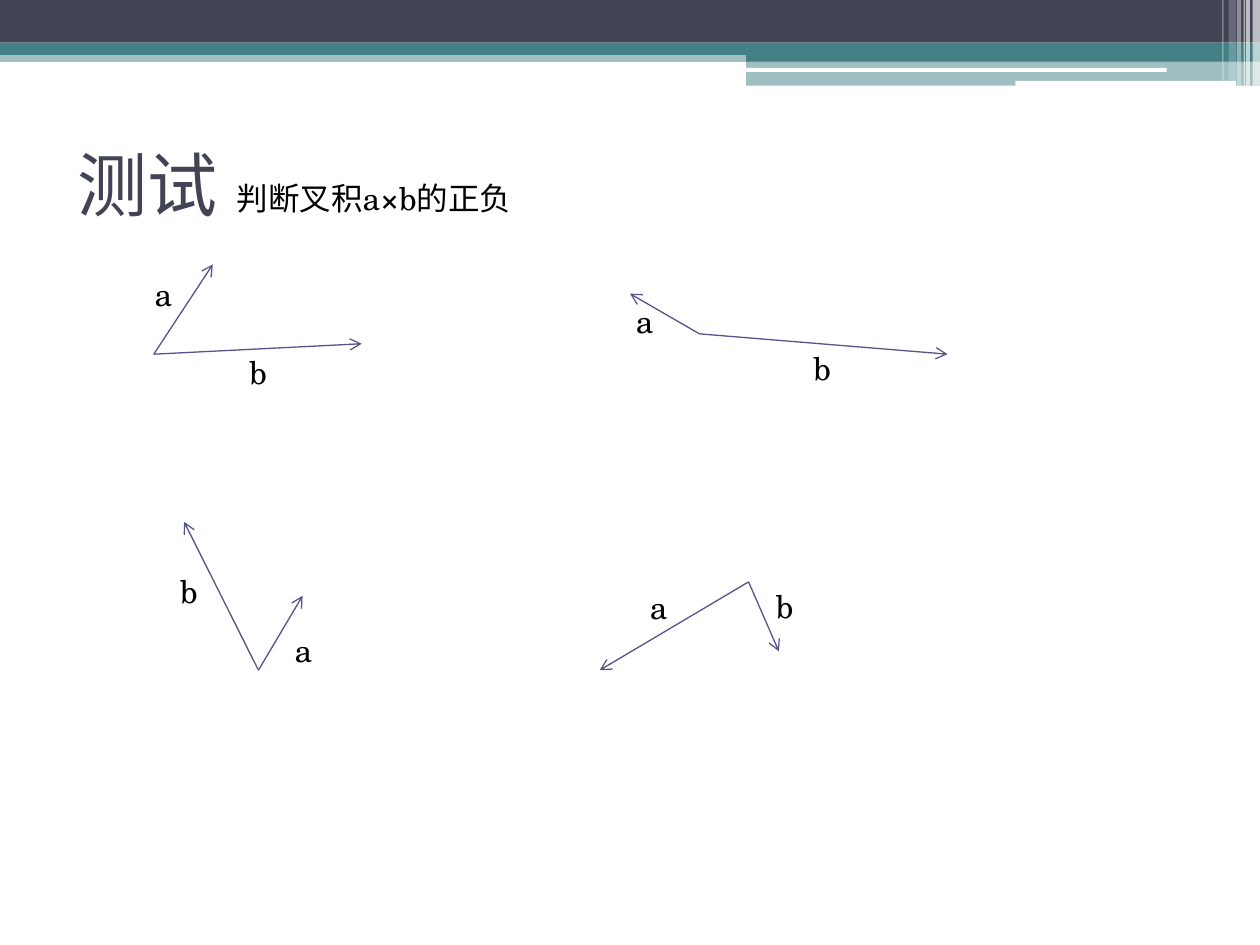
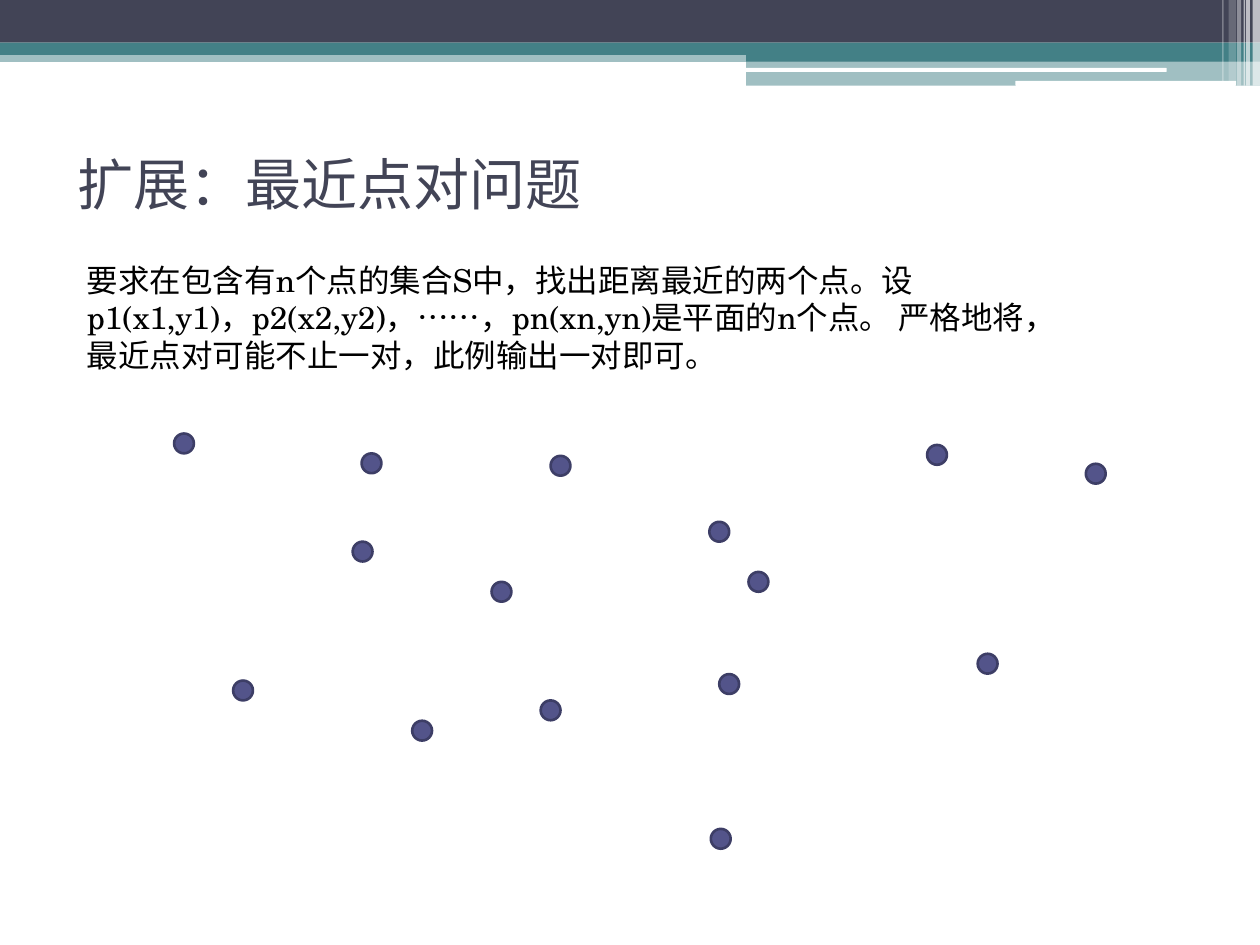
from dataclasses import dataclass

import pptx
import pptx.dml.color
import pptx.enum.shapes
import pptx.enum.text
import pptx.oxml.ns
import pptx.presentation
import pptx.shapes.base
import pptx.slide
import pptx.text.text
import pptx.util
from lxml import etree

Cm = pptx.util.Cm
Shapes = pptx.enum.shapes.MSO_SHAPE
qn = pptx.oxml.ns.qn

COLOURS = {
    "ink": "424456",
    "teal": "438086",
    "white": "FFFFFF",
    "black": "000000",
    "indigo": "53548A",
    "outline": "3D3E66",
}
TITLE_FONT, BODY_FONT = "Karla", "TeX Gyre Schola"
SLIDE_WIDTH, SLIDE_HEIGHT = 25.4, 19.05
STEP_LEFT = 15.04
DOT_SIZE = 0.4

Point = tuple[float, float]


@dataclass(frozen=True)
class Band:
    left: float
    top: float
    width: float
    height: float
    colour: str
    opacity: int = 100
    outline: Shapes = Shapes.RECTANGLE


@dataclass(frozen=True)
class Label:
    text: str
    left: float
    top: float
    width: float = 0.85
    height: float = 1.02
    wrap: bool = False


@dataclass(frozen=True)
class VectorPair:
    origin: Point
    a_tip: Point
    b_tip: Point
    a_label: Point
    b_label: Point


BANDS = [
    Band(0, 1.02, SLIDE_WIDTH, 0.23, "teal", 50),
    Band(0, 0, SLIDE_WIDTH, 0.86, "ink"),
    Band(0, 0.86, SLIDE_WIDTH, 0.25, "teal"),
    Band(STEP_LEFT, 0.99, SLIDE_WIDTH - STEP_LEFT, 0.25, "teal"),
    Band(STEP_LEFT, 1.22, SLIDE_WIDTH - STEP_LEFT, 0.51, "teal", 50),
    Band(15.01, 1.37, 8.51, 0.08, "white", outline=Shapes.ROUNDED_RECTANGLE),
    Band(20.47, 1.63, 4.45, 0.1, "white", outline=Shapes.ROUNDED_RECTANGLE),
] + [
    Band(left, 0, width, height, "white", opacity)
    for left, width, height, opacity in [
        (25.25, 0.15, 1.73, 65),
        (25.12, 0.08, 1.73, 65),
        (25.07, 0.03, 1.73, 60),
        (24.94, 0.08, 1.73, 40),
        (24.77, 0.15, 1.63, 20),
        (24.64, 0.03, 1.63, 30),
    ]
]

VECTOR_PAIRS = [
    VectorPair((3.1, 7.14), (4.29, 5.33), (7.29, 6.93), (2.87, 5.41), (4.78, 6.99)),
    VectorPair((14.1, 6.73), (12.7, 5.92), (19.1, 7.14), (12.57, 5.97), (16.15, 6.91)),
    VectorPair((5.21, 13.51), (6.1, 12.01), (3.71, 10.52), (5.69, 12.6), (3.38, 11.4)),
    VectorPair((15.09, 11.73), (12.09, 13.51), (15.7, 13.13), (12.85, 11.73), (15.39, 11.71)),
]

DOTS = [
    (3.51, 8.74), (7.29, 9.14), (7.11, 10.92), (9.91, 11.73), (4.7, 13.72),
    (10.9, 14.12), (15.09, 11.53), (14.3, 10.52), (14.5, 13.59), (18.69, 8.97),
    (19.71, 13.18), (11.1, 9.19), (8.31, 14.53), (21.89, 9.35), (14.33, 16.71),
]

QUESTION = Label("判断叉积a×b的正负", 4.52, 3.48, 6.32, wrap=True)
PROBLEM = Label(
    "要求在包含有n个点的集合S中，找出距离最近的两个点。设 "
    "p1(x1,y1)，p2(x2,y2)，……，pn(xn,yn)是平面的n个点。 "
    "严格地将，最近点对可能不止一对，此例输出一对即可。",
    1.5, 5.13, 20.6, 2.57, wrap=True,
)


def colour(name: str) -> pptx.dml.color.RGBColor:
    return pptx.dml.color.RGBColor.from_string(COLOURS[name])


def apply_format(target: object, values: dict[str, object]) -> None:
    for name, value in values.items():
        setattr(target, name, value)


def write_text(frame: pptx.text.text.TextFrame, text: str, font: str,
               size: int, ink: str) -> None:
    para = frame.paragraphs[0]
    para.alignment = pptx.enum.text.PP_ALIGN.LEFT
    span = para.add_run()
    span.text = text
    apply_format(span.font, {"name": font, "size": pptx.util.Pt(size)})
    span.font.color.rgb = colour(ink)


def add_filled(page: pptx.slide.Slide, outline: Shapes, left: float, top: float,
               width: float, height: float, fill: str) -> pptx.shapes.base.BaseShape:
    shape = page.shapes.add_shape(outline, Cm(left), Cm(top), Cm(width), Cm(height))
    shape.shadow.inherit = False
    shape.fill.solid()
    shape.fill.fore_color.rgb = colour(fill)
    return shape


def add_band(page: pptx.slide.Slide, band: Band) -> None:
    shape = add_filled(page, band.outline, band.left, band.top,
                       band.width, band.height, band.colour)
    shape.line.fill.background()
    if band.opacity < 100:
        fill_colour = shape.fill._xPr.find(qn("a:solidFill"))[0]
        etree.SubElement(fill_colour, qn("a:alpha"), val=str(band.opacity * 1000))


def add_dot(page: pptx.slide.Slide, left: float, top: float) -> None:
    dot = add_filled(page, Shapes.OVAL, left, top, DOT_SIZE, DOT_SIZE, "indigo")
    dot.line.color.rgb = colour("outline")
    dot.line.width = pptx.util.Pt(1.5)


def add_label(page: pptx.slide.Slide, label: Label) -> None:
    box = page.shapes.add_textbox(Cm(label.left), Cm(label.top),
                                  Cm(label.width), Cm(label.height))
    apply_format(box.text_frame, {
        "word_wrap": label.wrap,
        "auto_size": pptx.enum.text.MSO_AUTO_SIZE.SHAPE_TO_FIT_TEXT,
    })
    write_text(box.text_frame, label.text, BODY_FONT, 18, "black")


def add_vector(page: pptx.slide.Slide, origin: Point, tip: Point) -> None:
    vector = page.shapes.add_connector(
        pptx.enum.shapes.MSO_CONNECTOR.STRAIGHT,
        *(Cm(length) for length in origin + tip))
    vector.line.color.rgb = colour("indigo")
    vector.line.width = pptx.util.Pt(0.75)
    etree.SubElement(vector.line._get_or_add_ln(), qn("a:tailEnd"), type="arrow")
    etree.SubElement(vector._element.spPr, qn("a:effectLst"))


def add_page(deck: pptx.presentation.Presentation, title: str,
             size: int) -> pptx.slide.Slide:
    """Add a title-only page with the shared bands and title style."""
    page = deck.slides.add_slide(deck.slide_layouts.get_by_name("Title Only"))
    for band in BANDS:
        add_band(page, band)
    box = page.shapes.title
    apply_format(box, {"left": Cm(1.3), "top": Cm(2.51),
                       "width": Cm(22.86), "height": Cm(2.37)})
    apply_format(box.text_frame, {
        "vertical_anchor": pptx.enum.text.MSO_ANCHOR.MIDDLE,
        "auto_size": pptx.enum.text.MSO_AUTO_SIZE.NONE,
    })
    write_text(box.text_frame, title, TITLE_FONT, size, "ink")
    return page


def build_cross_product_page(deck: pptx.presentation.Presentation) -> None:
    page = add_page(deck, "测试", 40)
    for pair in VECTOR_PAIRS:
        add_vector(page, pair.origin, pair.a_tip)
        add_vector(page, pair.origin, pair.b_tip)
        add_label(page, Label("a", *pair.a_label))
        add_label(page, Label("b", *pair.b_label))
    add_label(page, QUESTION)


def build_closest_pair_page(deck: pptx.presentation.Presentation) -> None:
    page = add_page(deck, "扩展：最近点对问题", 32)
    add_label(page, PROBLEM)
    for left, top in DOTS:
        add_dot(page, left, top)


def main() -> None:
    deck = pptx.Presentation()
    apply_format(deck, {"slide_width": Cm(SLIDE_WIDTH), "slide_height": Cm(SLIDE_HEIGHT)})
    build_cross_product_page(deck)
    build_closest_pair_page(deck)
    deck.save("out.pptx")


if __name__ == "__main__":
    main()
